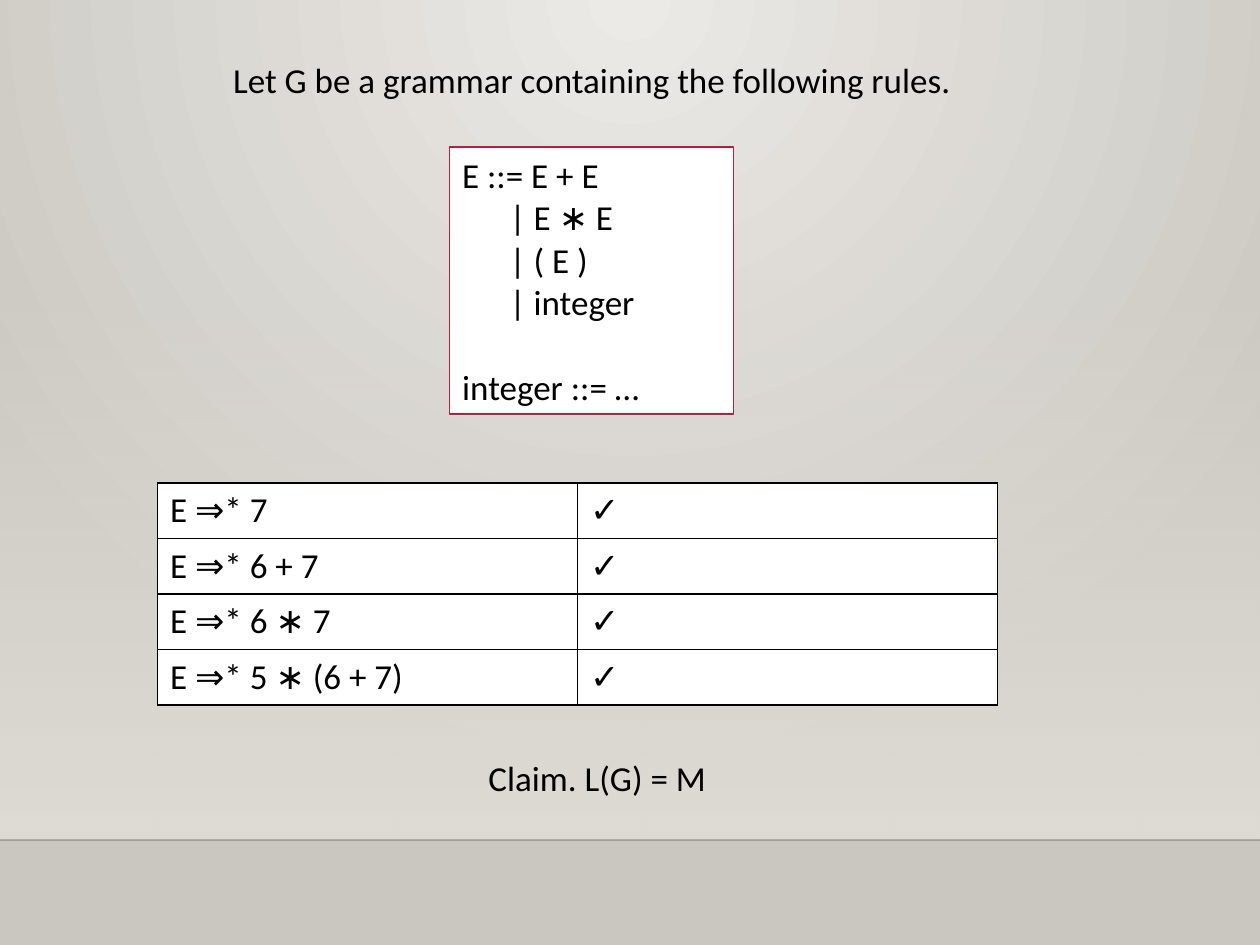
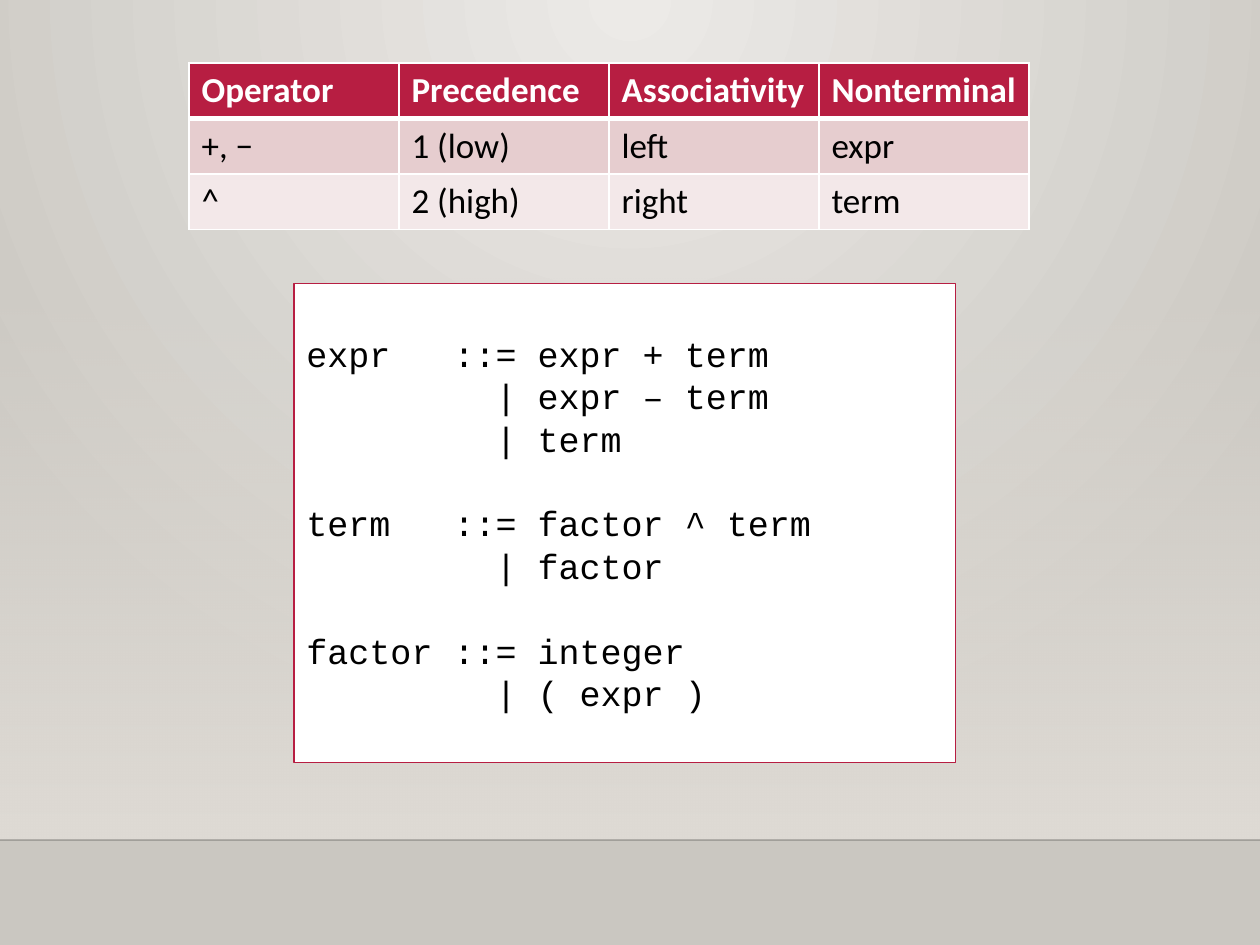
from dataclasses import dataclass

from lxml import etree
from pptx import Presentation
from pptx.dml.color import RGBColor
from pptx.enum.shapes import MSO_CONNECTOR, MSO_SHAPE
from pptx.enum.text import MSO_ANCHOR, MSO_AUTO_SIZE, PP_ALIGN
from pptx.oxml.ns import qn
from pptx.util import Pt

RECTANGLE = MSO_SHAPE.RECTANGLE
STRAIGHT = MSO_CONNECTOR.STRAIGHT
TOP, LEFT = MSO_ANCHOR.TOP, PP_ALIGN.LEFT
NO_FIT = MSO_AUTO_SIZE.NONE

COLOURS = {
    "text": "000000",
    "paper": "FFFFFF",
    "accent": "B71E42",
    "band dark": "E6CDCF",
    "band light": "F3E8E9",
    "glow": "ECEAE7",
    "floor": "CAC7C1",
    "wall": "DFDBD5",
}
SANS, MONO = "Calibri", "Courier New"
TEXT_SIZE = Pt(20)
LINE_PITCH = 24.2
INSET = 3.6
SLIDE_WIDTH, SLIDE_HEIGHT = 720, 540
WALL_TOP, FLOOR_TOP = 158.4, 480
TABLE_WIDTH, ROW_HEIGHT = 480, 31.2
TITLE_ONLY, BLANK = 5, 6


@dataclass
class Box:
    left: float
    top: float
    width: float
    height: float

    def lengths(self) -> tuple:
        return Pt(self.left), Pt(self.top), Pt(self.width), Pt(self.height)


@dataclass
class Grammar:
    box: Box
    font: str
    productions: list  # one list of lines for each nonterminal
    lead: float = 0    # extra room above the first line


@dataclass
class Grid:
    left: float
    top: float
    rows: list
    fills: list  # colour name for each row
    border: str
    header: bool = False


def rgb(name: str) -> RGBColor:
    return RGBColor.from_string(COLOURS[name])


def style_runs(paragraph, font: str = SANS, colour: str = "text", bold: bool = False) -> None:
    for run in paragraph.runs:
        run.font.name = font
        run.font.size = TEXT_SIZE
        run.font.bold = bold
        run.font.color.rgb = rgb(colour)


def add_colour(parent, name: str, alpha: int = 100) -> None:
    colour = etree.SubElement(parent, qn("a:srgbClr"), val=COLOURS[name])
    if alpha < 100:
        etree.SubElement(colour, qn("a:alpha"), val=str(alpha * 1000))


def set_gradient(owner, stops: list):
    """Replace the empty fill inside owner by a gradient and return it."""
    gradient = etree.Element(qn("a:gradFill"), rotWithShape="1")
    stop_list = etree.SubElement(gradient, qn("a:gsLst"))
    for position, name, alpha in stops:
        stop = etree.SubElement(stop_list, qn("a:gs"), pos=str(position * 1000))
        add_colour(stop, name, alpha)
    empty = owner.find(".//" + qn("a:noFill"))
    empty.getparent().replace(empty, gradient)
    return gradient


def build_backdrop(master, slide) -> None:
    """Give the master its glow, wall and floor line."""
    master.background.fill.background()
    glow = set_gradient(master.element.cSld, [(0, "glow", 100), (100, "floor", 100)])
    circle = etree.SubElement(glow, qn("a:path"), path="circle")
    etree.SubElement(circle, qn("a:fillToRect"), l="43000", t="0", r="43000", b="100000")

    wall_box = Box(0, WALL_TOP, SLIDE_WIDTH, FLOOR_TOP - WALL_TOP)
    wall = slide.shapes.add_shape(RECTANGLE, *wall_box.lengths())
    wall.shadow.inherit = False
    wall.line.fill.background()
    wall.fill.background()
    fade = set_gradient(wall.element.spPr, [(0, "wall", 0), (100, "wall", 100)])
    etree.SubElement(fade, qn("a:lin"), ang="5400000", scaled="0")

    edge = slide.shapes.add_connector(STRAIGHT, Pt(0), Pt(FLOOR_TOP), Pt(SLIDE_WIDTH), Pt(FLOOR_TOP))
    edge.line.width = Pt(1)
    edge.line.color.rgb = rgb("text")
    tint = edge.element.spPr.find(".//" + qn("a:srgbClr"))
    etree.SubElement(tint, qn("a:alpha"), val="20000")
    etree.SubElement(edge.element.spPr, qn("a:effectLst"))

    # Shapes can only be made on a slide, so move them behind the placeholders
    for position, part in enumerate((wall, edge), start=2):
        master.element.cSld.spTree.insert(position, part.element)


def set_sentence(shape, text: str) -> None:
    frame = shape.text_frame
    frame.text = text
    frame.word_wrap = False
    frame.auto_size = NO_FIT
    frame.vertical_anchor = TOP
    frame.paragraphs[0].alignment = LEFT
    style_runs(frame.paragraphs[0])


def add_grammar(slide, grammar: Grammar) -> None:
    panel = slide.shapes.add_shape(RECTANGLE, *grammar.box.lengths())
    panel.shadow.inherit = False
    panel.fill.solid()
    panel.fill.fore_color.rgb = rgb("paper")
    panel.line.color.rgb = rgb("accent")
    panel.line.width = Pt(0.75)
    frame = panel.text_frame
    frame.word_wrap = True
    frame.vertical_anchor = TOP
    frame.margin_top = Pt(INSET + grammar.lead)
    frame.text = "\n".join(line for lines in grammar.productions for line in lines)
    openings = {lines[0] for lines in grammar.productions[1:]}
    for paragraph in frame.paragraphs:
        paragraph.alignment = LEFT
        paragraph.line_spacing = Pt(LINE_PITCH)
        if paragraph.text in openings:
            paragraph.space_before = Pt(LINE_PITCH)
        style_runs(paragraph, grammar.font)


def set_borders(cell, colour: str, top: int, bottom: int) -> None:
    properties = cell._tc.get_or_add_tcPr()
    widths = {"a:lnL": 1, "a:lnR": 1, "a:lnT": top, "a:lnB": bottom}
    for position, (side, width) in enumerate(widths.items()):
        border = etree.Element(qn(side), w=str(Pt(width)))
        add_colour(etree.SubElement(border, qn("a:solidFill")), colour)
        properties.insert(position, border)


def add_grid(slide, grid: Grid) -> None:
    row_count, column_count = len(grid.rows), len(grid.rows[0])
    box = Box(grid.left, grid.top, TABLE_WIDTH, ROW_HEIGHT * row_count)
    table = slide.shapes.add_table(row_count, column_count, *box.lengths()).table
    table.first_row = grid.header
    table.horz_banding = False
    for column in table.columns:
        column.width = Pt(TABLE_WIDTH / column_count)
    for r, (texts, fill) in enumerate(zip(grid.rows, grid.fills)):
        table.rows[r].height = Pt(ROW_HEIGHT)
        is_header = grid.header and r == 0
        for c, text in enumerate(texts):
            cell = table.cell(r, c)
            cell.text_frame.text = text
            style_runs(cell.text_frame.paragraphs[0],
                       colour="paper" if is_header else "text", bold=is_header)
            cell.fill.solid()
            cell.fill.fore_color.rgb = rgb(fill)
            set_borders(cell, grid.border,
                        top=3 if grid.header and r == 1 else 1,
                        bottom=3 if is_header else 1)


AMBIGUOUS_GRAMMAR = Grammar(
    Box(257, 84, 162, 152.6), SANS,
    [["E ::= E + E", "      | E ∗ E", "      | ( E )", "      | integer"],
     ["integer ::= …"]])

DERIVATIONS = Grid(
    90, 276,
    [[f"E ⇒* {result}", "✓"] for result in ("7", "6 + 7", "6 ∗ 7", "5 ∗ (6 + 7)")],
    ["paper"] * 4, border="text")

OPERATORS = Grid(
    108, 36,
    [["Operator", "Precedence", "Associativity", "Nonterminal"],
     ["+, −", "1 (low)", "left", "expr"],
     ["^", "2 (high)", "right", "term"]],
    ["accent", "band dark", "band light"], border="paper", header=True)

LAYERED_GRAMMAR = Grammar(
    Box(168, 162, 378, 273.6), MONO,
    [["expr   ::= expr + term", "         | expr – term", "         | term"],
     ["term   ::= factor ^ term", "         | factor"],
     ["factor ::= integer", "         | ( expr )"]],
    lead=LINE_PITCH)


def main() -> None:
    deck = Presentation()
    deck.slide_width, deck.slide_height = Pt(SLIDE_WIDTH), Pt(SLIDE_HEIGHT)

    # Slide 1: grammar G and its derivations
    derivation_slide = deck.slides.add_slide(deck.slide_layouts[TITLE_ONLY])
    build_backdrop(deck.slide_master, derivation_slide)
    premise = derivation_slide.shapes.title
    premise.left, premise.top, premise.width, premise.height = Box(126, 30, 428, 31.5).lengths()
    set_sentence(premise, "Let G be a grammar containing the following rules.")
    add_grammar(derivation_slide, AMBIGUOUS_GRAMMAR)
    add_grid(derivation_slide, DERIVATIONS)
    claim = derivation_slide.shapes.add_textbox(*Box(272, 429, 147, 31.5).lengths())
    set_sentence(claim, "Claim. L(G) = M")

    # Slide 2: operator precedence and the layered grammar
    precedence_slide = deck.slides.add_slide(deck.slide_layouts[BLANK])
    add_grid(precedence_slide, OPERATORS)
    add_grammar(precedence_slide, LAYERED_GRAMMAR)

    deck.save("out.pptx")


if __name__ == "__main__":
    main()
